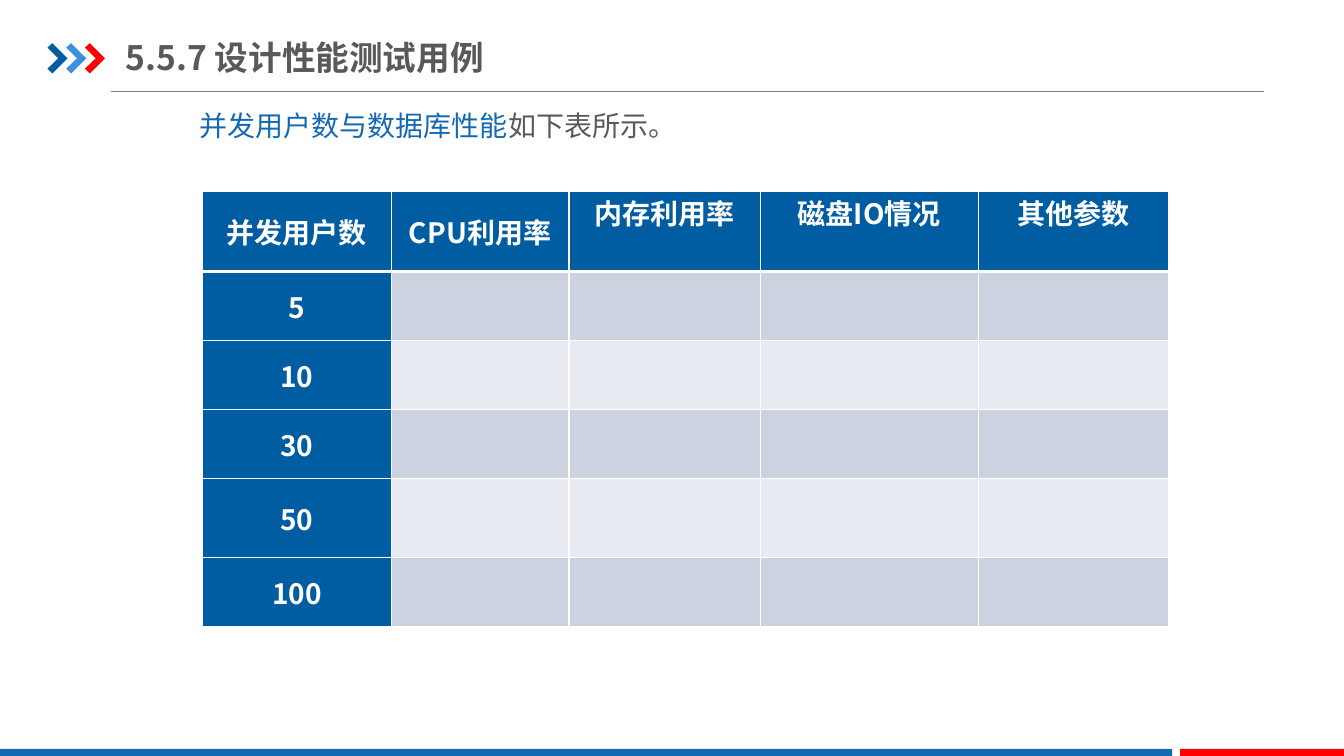
"""Build the slide on performance test case design."""
from dataclasses import dataclass

from lxml import etree
from pptx import Presentation
from pptx import util as u
from pptx.dml.color import RGBColor
from pptx.enum import shapes, text
from pptx.oxml.ns import qn


@dataclass(frozen=True)
class Theme:
    font: str = "Noto Sans CJK SC"
    title_size: int = 24
    body_size: int = 20
    ink: str = "595959"
    rule: str = "808080"
    white: str = "FFFFFF"
    navy: str = "005DA2"
    sky: str = "3992DB"
    blue: str = "1369B2"
    red: str = "FF0000"
    bands: tuple = ("CCD2E0", "E7EAF0")


def add_text(paragraph, wording, *, font, size, color, bold=False):
    run = paragraph.add_run()
    run.text = wording
    run.font.size = u.Pt(size)
    run.font.bold = bold
    run.font.color.rgb = RGBColor.from_string(color)
    run.font.name = font
    etree.SubElement(run._r.get_or_add_rPr(), qn("a:ea"), typeface=font)


def add_borders(cell, color, **widths):
    properties = cell._tc.get_or_add_tcPr()
    for side in "LRTB":
        edge = etree.SubElement(properties, qn(f"a:ln{side}"),
                                w=str(u.Pt(widths.get(side, 1))))
        fill = etree.SubElement(edge, qn("a:solidFill"))
        etree.SubElement(fill, qn("a:srgbClr"), val=color)


class SlideBuilder:
    def __init__(self, slide, theme):
        self.slide = slide
        self.theme = theme

    def paint(self, shape, color):
        shape.shadow.inherit = False
        shape.fill.solid()
        shape.fill.fore_color.rgb = RGBColor.from_string(color)
        shape.line.fill.background()

    def rule(self, left, right, y):
        divider = self.slide.shapes.add_connector(
            shapes.MSO_CONNECTOR.STRAIGHT, u.Pt(left), u.Pt(y), u.Pt(right), u.Pt(y))
        divider.line.width = u.Pt(0.75)
        divider.line.color.rgb = RGBColor.from_string(self.theme.rule)
        etree.SubElement(divider._element.spPr, qn("a:effectLst"))

    def chevron(self, left, top, color):
        outline = [(0, 3.2), (3.5, 0), (14.4, 10.8), (3.5, 21.6), (0, 18.2), (7.7, 10.8)]
        corners = [(u.Pt(left + x), u.Pt(top + y)) for x, y in outline]
        builder = self.slide.shapes.build_freeform(*corners[0])
        builder.add_line_segments(corners[1:], close=True)
        self.paint(builder.convert_to_shape(), color)

    def bar(self, left, width, color):
        footer = self.slide.shapes.add_shape(
            shapes.MSO_SHAPE.RECTANGLE, u.Pt(left), u.Pt(535), u.Pt(width), u.Pt(6))
        self.paint(footer, color)

    def title(self, wording, left, top, width, height):
        heading = self.slide.shapes.title
        heading.left, heading.top = u.Pt(left), u.Pt(top)
        heading.width, heading.height = u.Pt(width), u.Pt(height)
        frame = heading.text_frame
        frame.margin_left = frame.margin_right = 0
        frame.margin_top = frame.margin_bottom = u.Pt(5)
        frame.vertical_anchor = text.MSO_ANCHOR.MIDDLE
        frame.auto_size = text.MSO_AUTO_SIZE.NONE
        frame.paragraphs[0].alignment = text.PP_ALIGN.LEFT
        add_text(frame.paragraphs[0], wording, font=self.theme.font,
                 size=self.theme.title_size, color=self.theme.ink, bold=True)

    def caption(self, phrases, left, top, width, height):
        lead = self.slide.shapes.add_textbox(
            u.Pt(left), u.Pt(top), u.Pt(width), u.Pt(height))
        lead.text_frame.word_wrap = True
        lead.text_frame.auto_size = text.MSO_AUTO_SIZE.SHAPE_TO_FIT_TEXT
        for wording, color in phrases:
            add_text(lead.text_frame.paragraphs[0], wording, font=self.theme.font,
                     size=self.theme.body_size, color=color)

    def label(self, cell, wording, anchor):
        cell.vertical_anchor = anchor
        cell.margin_left = cell.margin_right = u.Pt(5)
        cell.margin_top = cell.margin_bottom = 0
        paragraph = cell.text_frame.paragraphs[0]
        paragraph.alignment = text.PP_ALIGN.CENTER
        add_text(paragraph, wording, font=self.theme.font, size=self.theme.body_size,
                 color=self.theme.white, bold=True)

    def table(self, headings, user_counts, left, top, widths, heights):
        grid = self.slide.shapes.add_table(
            len(heights), len(widths), u.Pt(left), u.Pt(top),
            u.Pt(sum(widths)), u.Pt(sum(heights))).table
        for column, width in zip(grid.columns, widths):
            column.width = u.Pt(width)
        for row, height in zip(grid.rows, heights):
            row.height = u.Pt(height)
        for r in range(len(heights)):
            for c in range(len(widths)):
                cell = grid.cell(r, c)
                add_borders(cell, self.theme.white,
                            T=3 if r == 1 else 1, B=3 if r == 0 else 1)
                is_heading = r == 0 or c == 0
                color = self.theme.navy if is_heading else self.theme.bands[(r - 1) % 2]
                cell.fill.solid()
                cell.fill.fore_color.rgb = RGBColor.from_string(color)
                if is_heading:
                    wording = headings[c] if r == 0 else user_counts[r - 1]
                    anchor = text.MSO_ANCHOR.MIDDLE if c < 2 else text.MSO_ANCHOR.TOP
                    self.label(cell, wording, anchor)


def main():
    deck = Presentation()
    deck.slide_width, deck.slide_height = u.Pt(960), u.Pt(540)
    theme = Theme()
    page = SlideBuilder(deck.slides.add_slide(deck.slide_layouts[5]), theme)

    page.rule(79.2, 903, 65.5)
    for i, color in enumerate((theme.navy, theme.sky, theme.red)):
        page.chevron(33.9 + 13.4 * i, 30.9, color)
    page.bar(0, 837.3, theme.blue)
    page.bar(843, 117, theme.red)
    page.title("5.5.7 设计性能测试用例", 90, 21, 667.5, 39.6)
    page.caption([("并发用户数与数据库性能", theme.blue), ("如下表所示。", theme.ink)],
                 135.4, 74.2, 635.8, 31.5)
    page.table(["并发用户数", "CPU利用率", "内存利用率", "磁盘IO情况", "其他参数"],
               ["5", "10", "30", "50", "100"], 144.8, 136.9,
               [134.6, 127, 137, 155.3, 135.8],
               [57, 49.4, 49.4, 49.4, 56.4, 49.4])
    deck.save("out.pptx")


if __name__ == "__main__":
    main()
